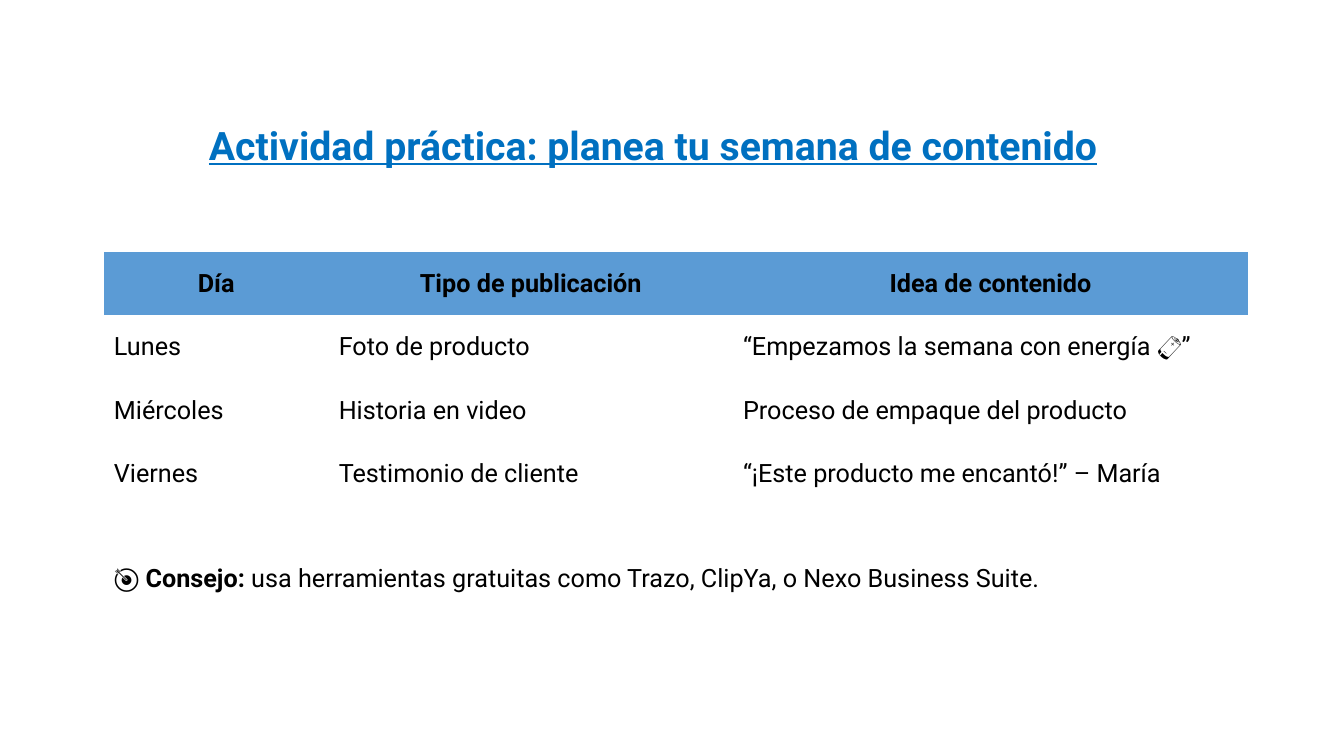
from pptx import Presentation
from pptx.dml.color import RGBColor
from pptx.enum.text import MSO_ANCHOR, MSO_AUTO_SIZE, PP_ALIGN
from pptx.oxml.ns import qn
from pptx.util import Inches, Pt

FONT = "Roboto"
BLACK = "000000"
TITLE_BLUE = "0070C0"
HEADER_BLUE = "5B9BD5"
NO_STYLE_NO_GRID = "{2D5ABB26-0587-4C30-8999-92F81FD0307C}"

COLUMN_WIDTHS = [2.23, 4.01, 5.11]
ROW_HEIGHT = 0.63
WEEK_PLAN = [
    ["Día", "Tipo de publicación", "Idea de contenido"],
    ["Lunes", "Foto de producto", "“Empezamos la semana con energía 🔋”"],
    ["Miércoles", "Historia en video", "Proceso de empaque del producto"],
    ["Viernes", "Testimonio de cliente", "“¡Este producto me encantó!” – María"],
]


def rgb(color):
    return RGBColor.from_string(color)


def add_text(paragraph, text, *, size=18, color=BLACK, bold=False,
             underline=False, align=PP_ALIGN.LEFT):
    paragraph.alignment = align
    run = paragraph.add_run()
    run.text = text
    run.font.name = FONT
    run.font.size = Pt(size)
    run.font.bold = bold
    run.font.underline = underline
    run.font.color.rgb = rgb(color)


def add_title(slide, text):
    title = slide.shapes.title
    title.left, title.top = Inches(1.56), Inches(1.15)
    title.width, title.height = Inches(9.83), Inches(0.57)
    title.text_frame.vertical_anchor = MSO_ANCHOR.TOP
    title.text_frame.auto_size = MSO_AUTO_SIZE.SHAPE_TO_FIT_TEXT
    add_text(title.text_frame.paragraphs[0], text, size=28, color=TITLE_BLUE,
             bold=True, underline=True, align=PP_ALIGN.CENTER)


def add_week_table(slide, rows):
    frame = slide.shapes.add_table(
        len(rows), len(COLUMN_WIDTHS), Inches(1.03), Inches(2.5),
        Inches(sum(COLUMN_WIDTHS)), Inches(ROW_HEIGHT * len(rows)))
    table = frame.table
    table.horz_banding = False
    for style_id in frame.element.iter(qn("a:tableStyleId")):
        style_id.text = NO_STYLE_NO_GRID
    for column, width in zip(table.columns, COLUMN_WIDTHS):
        column.width = Inches(width)
    for row_index, values in enumerate(rows):
        is_header = row_index == 0
        for column_index, value in enumerate(values):
            cell = table.cell(row_index, column_index)
            cell.vertical_anchor = MSO_ANCHOR.MIDDLE
            if is_header:
                cell.fill.solid()
                cell.fill.fore_color.rgb = rgb(HEADER_BLUE)
            else:
                cell.fill.background()
            add_text(cell.text_frame.paragraphs[0], value, bold=is_header,
                     align=PP_ALIGN.CENTER if is_header else PP_ALIGN.LEFT)


def add_tip(slide, icon, label, advice):
    box = slide.shapes.add_textbox(Inches(1.03), Inches(5.53), Inches(11.65), Inches(0.4))
    box.text_frame.word_wrap = True
    box.text_frame.auto_size = MSO_AUTO_SIZE.SHAPE_TO_FIT_TEXT
    paragraph = box.text_frame.paragraphs[0]
    add_text(paragraph, icon)
    add_text(paragraph, label, bold=True)
    add_text(paragraph, advice)


def main():
    presentation = Presentation()
    presentation.slide_width = Inches(13.33)
    presentation.slide_height = Inches(7.5)
    title_only = presentation.slide_layouts[5]
    slide = presentation.slides.add_slide(title_only)
    add_title(slide, "Actividad práctica: planea tu semana de contenido")
    add_week_table(slide, WEEK_PLAN)
    add_tip(slide, "🎯 ", "Consejo: ",
            "usa herramientas gratuitas como Trazo, ClipYa, o Nexo Business Suite.")
    presentation.save("out.pptx")


if __name__ == "__main__":
    main()
